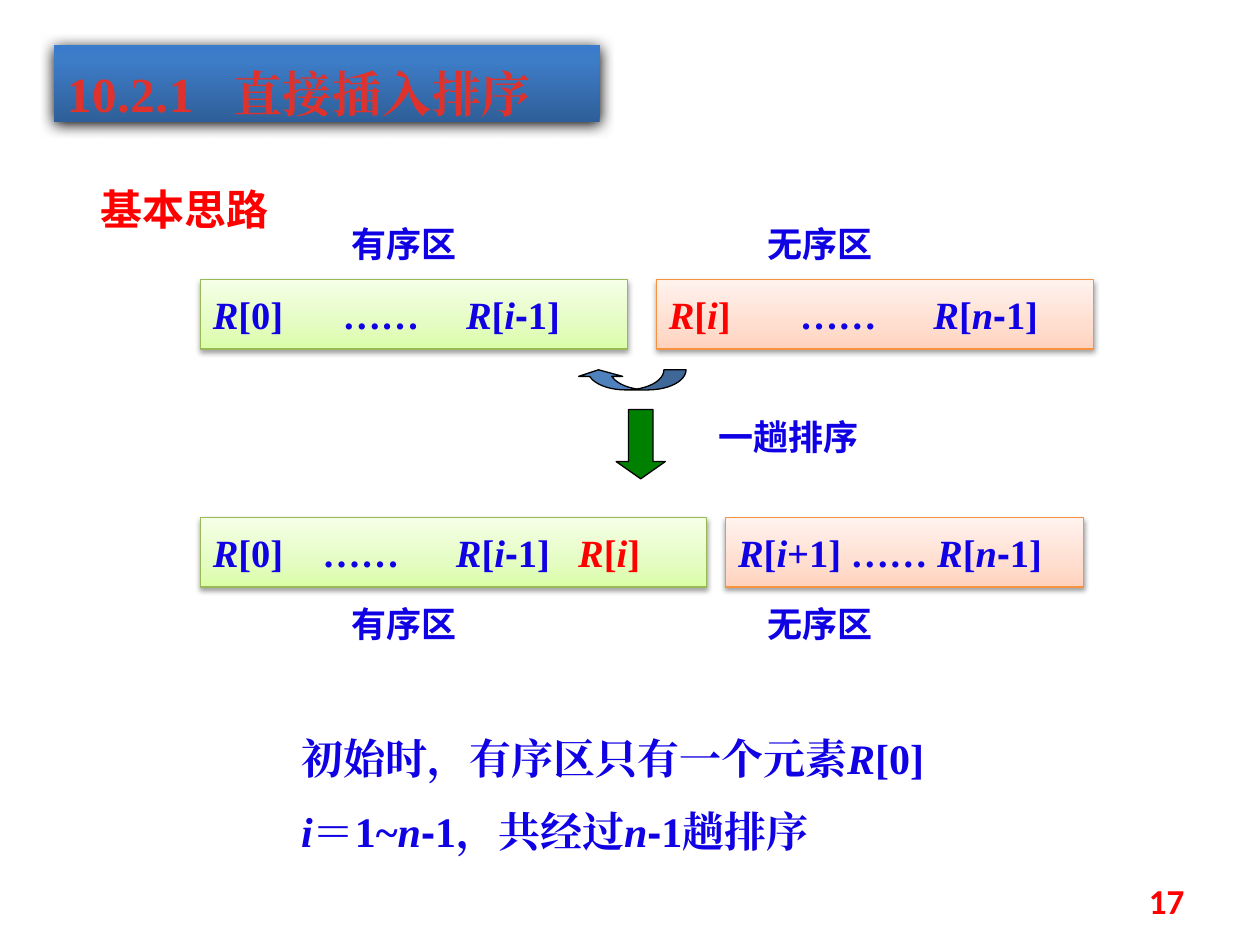
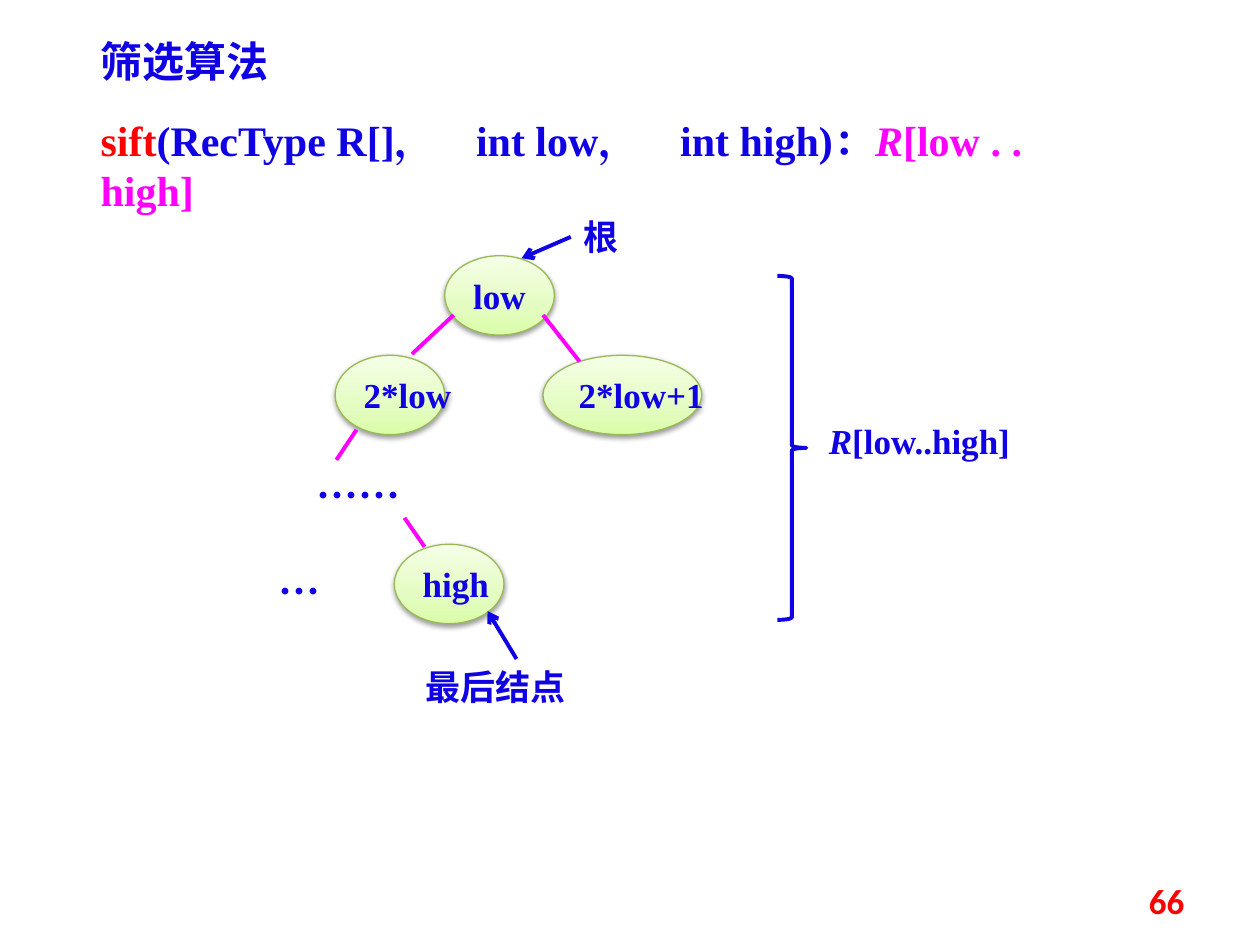
from dataclasses import dataclass
from itertools import groupby
from typing import NamedTuple

import lxml.etree
import pptx
import pptx.dml.color
import pptx.enum.shapes
import pptx.enum.text
import pptx.oxml.ns
import pptx.util

Inches = pptx.util.Inches
Pt = pptx.util.Pt
RGBColor = pptx.dml.color.RGBColor
qn = pptx.oxml.ns.qn
SHAPE = pptx.enum.shapes.MSO_SHAPE
ANCHOR = pptx.enum.text.MSO_ANCHOR
ALIGN = pptx.enum.text.PP_ALIGN

BLUE = RGBColor(0x10, 0x00, 0xE4)
RED = RGBColor(0xFF, 0x00, 0x00)
MAGENTA = RGBColor(0xFF, 0x00, 0xFF)
BLACK = RGBColor(0x00, 0x00, 0x00)
ARROW_GREEN = RGBColor(0x00, 0x80, 0x00)
ARROW_BLUE = RGBColor(0x4F, 0x81, 0xBD)
BANNER_TEXT = RGBColor(0xE0, 0x32, 0x2D)
GREEN_EDGE = RGBColor(0x98, 0xB9, 0x55)
ORANGE_EDGE = RGBColor(0xF6, 0x92, 0x40)

SERIF = "Times New Roman"
CHINESE = "Noto Sans CJK SC"
NUMBER_FONT = "Calibri"
MINUS_FONT = "Arial"


class Frame(NamedTuple):
    left: float
    top: float
    width: float
    height: float


class Stop(NamedTuple):
    percent: int
    color: RGBColor


class Shadow(NamedTuple):
    opacity: int
    blur: float
    distance: float


@dataclass
class Look:
    stops: list[Stop]
    shadow: Shadow
    edge: RGBColor | None = None


@dataclass
class Run:
    text: str
    color: RGBColor = BLUE
    font: str = SERIF
    italic: bool = False


@dataclass
class Label:
    frame: Frame
    runs: list[Run]
    size: int = 20
    tabs: tuple[float, ...] = ()


@dataclass
class Node:
    frame: Frame
    runs: list[Run]
    look: Look
    tabs: tuple[float, ...] = ()


class Edge(NamedTuple):
    start: tuple[float, float]
    end: tuple[float, float]
    color: RGBColor = MAGENTA
    arrow: bool = False


SOFT = Shadow(38, 3.1, 1.6)
GREEN = Look([Stop(0, RGBColor(0xDA, 0xFD, 0xA7)), Stop(35, RGBColor(0xE4, 0xFC, 0xC2)),
              Stop(100, RGBColor(0xF5, 0xFF, 0xE7))], SOFT, GREEN_EDGE)
ORANGE = Look([Stop(0, RGBColor(0xFF, 0xD2, 0xBD)), Stop(35, RGBColor(0xFF, 0xDE, 0xD0)),
               Stop(100, RGBColor(0xFF, 0xF2, 0xED))], SOFT, ORANGE_EDGE)
BANNER = Look([Stop(0, RGBColor(0x2F, 0x5F, 0x99)), Stop(80, RGBColor(0x3D, 0x7C, 0xC7)),
               Stop(100, RGBColor(0x3A, 0x7C, 0xCB))], Shadow(100, 8.5, 1))


def inches(frame: Frame) -> list[int]:
    return [Inches(length) for length in frame]


def set_all(target, values: dict) -> None:
    for name, value in values.items():
        setattr(target, name, value)


def chinese(text: str, color: RGBColor = BLUE) -> list[Run]:
    return [Run(text, color, CHINESE)]


def formula(text: str, color: RGBColor = BLUE) -> list[Run]:
    """Split text into runs: italic variables R, i, n and sans-serif minus signs."""
    def style(letter: str) -> tuple[str, bool]:
        return MINUS_FONT if letter == "-" else SERIF, letter in "Rin"
    return [Run("".join(letters), color, font, italic)
            for (font, italic), letters in groupby(text, style)]


def add_color(parent, color: RGBColor, opacity: int = 100) -> None:
    element = lxml.etree.SubElement(parent, qn("a:srgbClr"), val=str(color))
    if opacity < 100:
        lxml.etree.SubElement(element, qn("a:alpha"), val=str(opacity * 1000))


def apply_look(shape, look: Look) -> None:
    shape.fill.gradient()
    shape.fill.gradient_angle = 90
    properties = shape._element.spPr
    stop_list = properties.find(".//" + qn("a:gsLst"))
    for element in list(stop_list):
        stop_list.remove(element)
    for stop in look.stops:
        add_color(lxml.etree.SubElement(stop_list, qn("a:gs"), pos=str(stop.percent * 1000)),
                  stop.color)
    if look.edge is None:
        shape.line.fill.background()
    else:
        set_line(shape, look.edge, 0.75)
    shape.shadow.inherit = False
    shadow = lxml.etree.SubElement(
        properties.find(qn("a:effectLst")), qn("a:outerShdw"),
        blurRad=str(Pt(look.shadow.blur)), dist=str(Pt(look.shadow.distance)),
        dir="5400000", rotWithShape="0")
    add_color(shadow, BLACK, look.shadow.opacity)


def set_line(shape, color: RGBColor, width: float) -> None:
    shape.line.color.rgb = color
    shape.line.width = Pt(width)


def write(paragraph, runs: list[Run], size: int, tabs: tuple[float, ...] = ()) -> None:
    paragraph.alignment = ALIGN.LEFT
    if tabs:
        tab_list = lxml.etree.SubElement(paragraph._p.get_or_add_pPr(), qn("a:tabLst"))
        for position in tabs:
            lxml.etree.SubElement(tab_list, qn("a:tab"), pos=str(Inches(position)), algn="l")
    for item in runs:
        run = paragraph.add_run()
        run.text = item.text
        set_all(run.font, {"name": item.font, "size": Pt(size), "bold": True,
                           "italic": item.italic})
        run.font.color.rgb = item.color
        latin = run._r.rPr.find(qn("a:latin"))
        latin.addnext(latin.makeelement(qn("a:ea"), {"typeface": item.font}))


def set_frame(text_frame, anchor=ANCHOR.TOP, wrap: bool = True) -> None:
    set_all(text_frame, {"auto_size": pptx.enum.text.MSO_AUTO_SIZE.NONE,
                         "vertical_anchor": anchor, "word_wrap": wrap})


def place(shape, frame: Frame) -> None:
    set_all(shape, dict(zip(Frame._fields, inches(frame))))


def set_title(slide, label: Label):
    title = slide.shapes.title
    place(title, label.frame)
    set_frame(title.text_frame)
    write(title.text_frame.paragraphs[0], label.runs, label.size, label.tabs)
    return title


def add_label(slide, label: Label):
    box = slide.shapes.add_textbox(*inches(label.frame))
    set_frame(box.text_frame)
    write(box.text_frame.paragraphs[0], label.runs, label.size, label.tabs)
    return box


def add_page_number(slide, number: int) -> None:
    box = add_label(slide, Label(Frame(7.17, 6.95, 2.33, 0.4),
                                 [Run(str(number), RED, NUMBER_FONT)]))
    box.text_frame.vertical_anchor = ANCHOR.MIDDLE
    box.text_frame.paragraphs[0].alignment = ALIGN.RIGHT


def add_node(slide, kind, node: Node, size: int, wrap: bool) -> None:
    shape = slide.shapes.add_shape(kind, *inches(node.frame))
    apply_look(shape, node.look)
    set_frame(shape.text_frame, ANCHOR.MIDDLE, wrap)
    write(shape.text_frame.paragraphs[0], node.runs, size, node.tabs)


def add_block_arrow(slide, kind, frame: Frame, color: RGBColor, adjustments: list[float]):
    arrow = slide.shapes.add_shape(kind, *inches(frame))
    for index, value in enumerate(adjustments):
        arrow.adjustments[index] = value
    arrow.fill.solid()
    arrow.fill.fore_color.rgb = color
    set_line(arrow, BLACK, 0.75)
    arrow.shadow.inherit = False
    return arrow


def add_edge(slide, edge: Edge) -> None:
    ends = [Inches(length) for length in edge.start + edge.end]
    connector = slide.shapes.add_connector(pptx.enum.shapes.MSO_CONNECTOR.STRAIGHT, *ends)
    set_line(connector, edge.color, 2.25)
    if edge.arrow:
        lxml.etree.SubElement(connector.line._get_or_add_ln(), qn("a:tailEnd"), type="arrow")
    lxml.etree.SubElement(connector._element.spPr, qn("a:effectLst"))


def build_insertion_sort(presentation) -> None:
    slide = presentation.slides.add_slide(presentation.slide_layouts[1])
    banner = set_title(slide, Label(Frame(0.43, 0.36, 4.33, 0.61),
                                    [Run("10.2.1\t直接插入排序", BANNER_TEXT)], 28, (1.32,)))
    apply_look(banner, BANNER)
    heading = banner.text_frame.paragraphs[0]
    heading.line_spacing = 1.2
    heading.runs[0]._r.rPr.set("spc", "50")

    add_label(slide, Label(Frame(0.7, 1.41, 1.8, 0.5), chinese("基本思路", RED), 24))
    for top in (1.72, 4.73):
        for left, text in ((2.69, "有序区"), (5.99, "无序区")):
            add_label(slide, Label(Frame(left, top, 1.26, 0.44), chinese(text)))
    add_label(slide, Label(Frame(5.6, 3.25, 2.05, 0.44), chinese("一趟排序")))

    before, after, height = 2.22, 4.11, 0.55
    for region in (
        Node(Frame(1.59, before, 3.39, height), formula("R[0]\t……\tR[i-1]"), GREEN, (1.03, 2.01)),
        Node(Frame(5.21, before, 3.47, height),
             formula("R[i]", RED) + formula("\t……\tR[n-1]"), ORANGE, (1.04, 2.1)),
        Node(Frame(1.59, after, 4.02, height),
             formula("R[0]\t……\tR[i-1]\t") + formula("R[i]", RED), GREEN, (0.87, 1.93, 2.9)),
        Node(Frame(5.76, after, 2.84, height), formula("R[i+1] …… R[n-1]"), ORANGE),
    ):
        add_node(slide, SHAPE.RECTANGLE, region, 22, True)

    move_arrow = add_block_arrow(slide, SHAPE.CURVED_LEFT_ARROW, Frame(4.93, 2.58, 0.16, 0.87),
                                 ARROW_BLUE, [1.1, 2.19, 0.33])
    move_arrow.rotation = 90
    add_block_arrow(slide, SHAPE.DOWN_ARROW, Frame(4.89, 3.25, 0.39, 0.55),
                    ARROW_GREEN, [0.5, 0.35])

    body = slide.placeholders[1]
    place(body, Frame(2.29, 5.76, 5.43, 1.11))
    set_frame(body.text_frame)
    paragraphs = [body.text_frame.paragraphs[0], body.text_frame.add_paragraph()]
    texts = ("初始时，有序区只有一个元素R[0]", "i＝1~n-1，共经过n-1趟排序")
    for paragraph, text, gap in zip(paragraphs, texts, (0, 13)):
        properties = paragraph._p.get_or_add_pPr()
        properties.set("marL", "0")
        properties.set("indent", "0")
        lxml.etree.SubElement(properties, qn("a:buNone"))
        paragraph.space_before = Pt(gap)
        write(paragraph, formula(text), 24)
    add_page_number(slide, 17)


def build_sift(presentation) -> None:
    slide = presentation.slides.add_slide(presentation.slide_layouts[5])
    set_title(slide, Label(Frame(0.7, 0.23, 1.83, 0.5), chinese("筛选算法"), 24))

    for left, top, width, text in ((3.53, 2.03, 0.87, "low"), (2.66, 2.82, 0.87, "2*low"),
                                   (4.31, 2.82, 1.26, "2*low+1"), (3.13, 4.32, 0.87, "high")):
        add_node(slide, SHAPE.OVAL, Node(Frame(left, top, width, 0.63), [Run(text)], GREEN),
                 20, False)

    for edge in (
        Edge((3.6, 2.5), (3.27, 2.81)),
        Edge((4.31, 2.5), (4.6, 2.87)),
        Edge((2.83, 3.41), (2.67, 3.65)),
        Edge((3.21, 4.11), (3.37, 4.34)),
        Edge((4.53, 1.88), (4.14, 2.05), BLUE, True),
        Edge((4.1, 5.23), (3.87, 4.85), BLUE, True),
    ):
        add_edge(slide, edge)

    brace = slide.shapes.add_shape(SHAPE.RIGHT_BRACE, *inches(Frame(6.17, 2.19, 0.23, 2.73)))
    brace.fill.background()
    set_line(brace, BLUE, 2.25)
    brace.shadow.inherit = False

    signature = [Run("sift", RED), Run("(RecType R[]，\tint low，\tint high)："),
                 Run("R", MAGENTA, italic=True), Run("[low . . high]", MAGENTA)]
    for label in (
        Label(Frame(0.7, 0.86, 8.2, 0.5), signature, 24, (2.98, 4.6)),
        Label(Frame(2.41, 3.68, 1.18, 0.5), chinese("……"), 24),
        Label(Frame(2.11, 4.44, 1.18, 0.5), chinese("…"), 24),
        Label(Frame(6.48, 3.28, 1.8, 0.44), [Run("R", italic=True), Run("[low..high]")]),
        Label(Frame(4.53, 1.66, 0.55, 0.44), chinese("根")),
        Label(Frame(3.28, 5.23, 1.64, 0.44), chinese("最后结点")),
    ):
        add_label(slide, label)
    add_page_number(slide, 66)


def main() -> None:
    presentation = pptx.Presentation()
    presentation.slide_width, presentation.slide_height = Inches(10), Inches(7.5)
    build_insertion_sort(presentation)
    build_sift(presentation)
    presentation.save("out.pptx")


if __name__ == "__main__":
    main()
